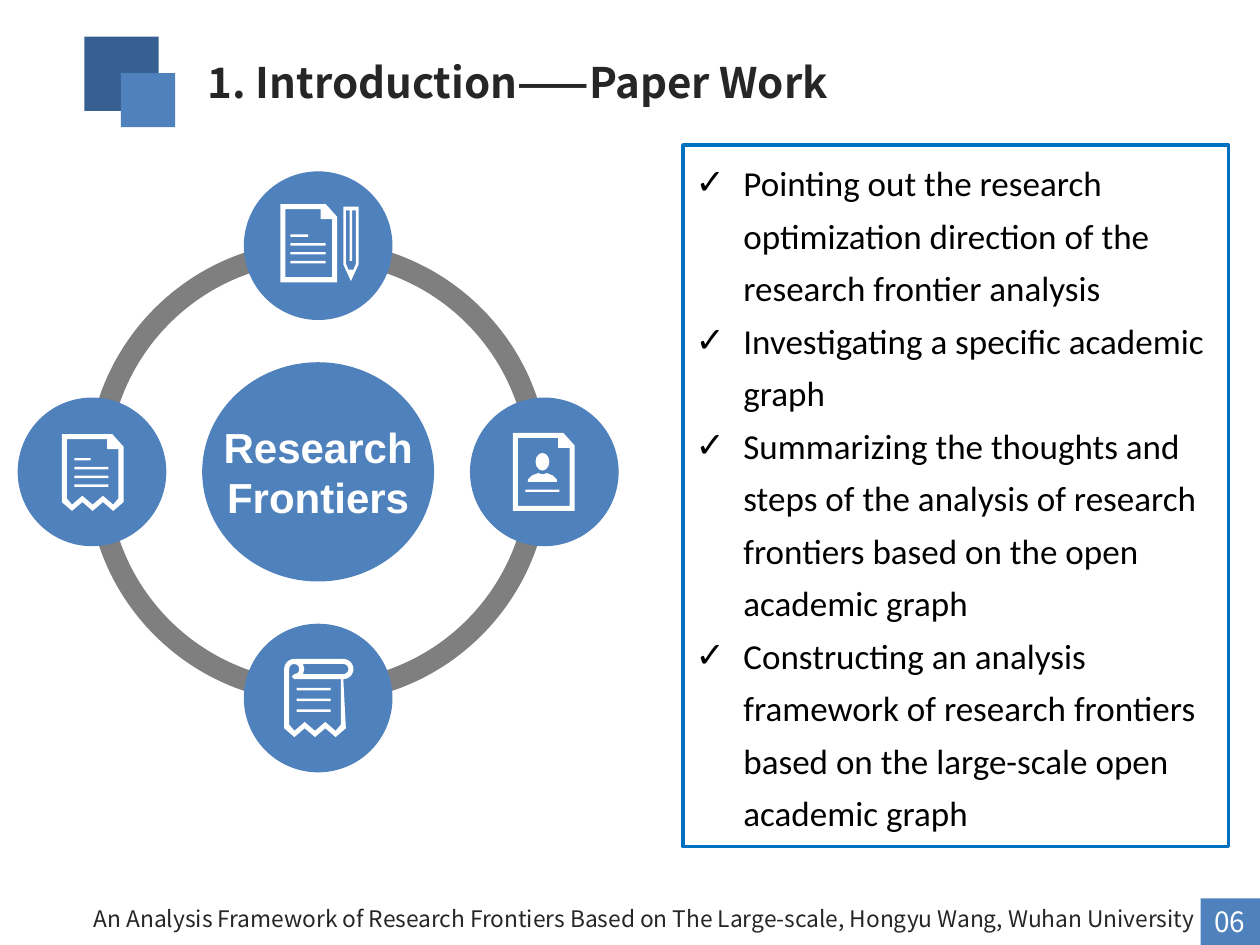
from dataclasses import dataclass
from math import cos, radians, sin

from lxml.etree import SubElement
from pptx import Presentation
from pptx.dml.color import RGBColor
from pptx.enum.shapes import MSO_SHAPE as Shape
from pptx.enum.text import MSO_ANCHOR as Anchor, MSO_AUTO_SIZE as AutoSize, PP_ALIGN as Align
from pptx.oxml.ns import qn
from pptx.util import Inches, Pt


@dataclass(frozen=True)
class Theme:
    blue: str = "4F81BD"
    navy: str = "376092"
    border: str = "0070C0"
    ring: str = "7F7F7F"
    ink: str = "262626"
    black: str = "000000"
    white: str = "FFFFFF"
    heading_font: str = "Noto Sans CJK SC"
    hub_font: str = "Arial"
    list_font: str = "Calibri"
    heading: int = 24
    list: int = 20
    page: int = 16
    footer: int = 13


THEME = Theme()
STROKE = 0.04

WORK_ITEMS = [
    "Pointing out the research optimization direction of the research frontier analysis",
    "Investigating a specific academic graph",
    "Summarizing the thoughts and steps of the analysis of research frontiers "
    "based on the open academic graph",
    "Constructing an analysis framework of research frontiers "
    "based on the large-scale open academic graph",
]


def paint(shape, color):
    shape.shadow.inherit = False
    shape.fill.solid()
    shape.fill.fore_color.rgb = RGBColor.from_string(color)
    shape.line.fill.background()
    return shape


def block(slide, preset, left, top, width, height, color):
    box = [Inches(length) for length in (left, top, width, height)]
    return paint(slide.shapes.add_shape(preset, *box), color)


def place(shape, left, top, width, height):
    shape.left, shape.top = Inches(left), Inches(top)
    shape.width, shape.height = Inches(width), Inches(height)


def style(paragraph, font, size, color, bold=False, align=Align.LEFT):
    paragraph.alignment = align
    paragraph.font.name = font
    paragraph.font.size = Pt(size)
    paragraph.font.bold = bold
    paragraph.font.color.rgb = RGBColor.from_string(color)


def label(slide, text, left, top, width, height, **look):
    box = [Inches(length) for length in (left, top, width, height)]
    frame = slide.shapes.add_textbox(*box).text_frame
    frame.word_wrap = True
    frame.text = text
    style(frame.paragraphs[0], THEME.heading_font, **look)


def outline(slide, center, *contours):
    cx, cy = center
    loops = [[(Inches(cx + x), Inches(cy + y)) for x, y in contour] for contour in contours]
    builder = slide.shapes.build_freeform(*loops[0][0])
    for loop in loops:
        if loop is not loops[0]:
            builder.move_to(*loop[0])
        builder.add_line_segments(loop[1:], close=True)
    paint(builder.convert_to_shape(), THEME.white)


def arc(x, y, radius, start, end):
    angles = [radians(angle) for angle in range(start, end + 1, 15)]
    return [(x + radius * cos(a), y + radius * sin(a)) for a in angles]


def torn_edge(left, right, bottom, inset=0.0):
    points = []
    for i in range(7):
        x = right - (right - left) * i / 6
        rise = 0 if i % 2 else 0.07
        if i in (0, 6):
            x += inset if i else -inset
            rise -= inset / 2
        points.append((x, bottom - 1.25 * inset - rise))
    return points


def flat_edge(left, right, bottom, inset=0.0):
    return [(right - inset, bottom - inset), (left + inset, bottom - inset)]


def page(slide, center, left, top, right, bottom, edge):
    sheet = [(left, top), (right - 0.09, top), (right, top + 0.1)]
    fold, inner_top = right - 0.13, top + STROKE
    window = [(left + STROKE, inner_top), (fold, inner_top), (fold, top + 0.12),
              (right - STROKE, top + 0.12)]
    outline(slide, center, sheet + edge(left, right, bottom),
            window + edge(left, right, bottom, STROKE))


def text_lines(slide, center, left, top, gap, widths):
    cx, cy = center
    for i, width in enumerate(widths):
        block(slide, Shape.RECTANGLE, cx + left, cy + top + i * gap, width, 0.02, THEME.white)


def draft_icon(slide, center):
    text_lines(slide, center, -0.22, -0.09, 0.07, [0.14, 0.28, 0.28, 0.28])
    page(slide, center, -0.3, -0.33, 0.15, 0.29, flat_edge)
    outline(slide, center, [
        (0.2, -0.31), (0.32, -0.31), (0.32, 0.15), (0.26, 0.28), (0.2, 0.15),
    ], [
        (0.3, 0.14), (0.28, 0.19), (0.24, 0.19), (0.22, 0.14), (0.22, -0.28),
        (0.25, -0.28), (0.25, 0.12), (0.27, 0.12), (0.27, -0.28), (0.3, -0.28),
    ])


def receipt_icon(slide, center):
    text_lines(slide, center, -0.14, -0.11, 0.07, [0.13, 0.27, 0.27, 0.27])
    page(slide, center, -0.24, -0.3, 0.25, 0.31, torn_edge)


def profile_icon(slide, center):
    cx, cy = center
    block(slide, Shape.OVAL, cx - 0.07, cy - 0.15, 0.11, 0.14, THEME.white)
    outline(slide, center, [
        (-0.13, 0.08), (-0.13, 0.06), (-0.1, 0.03), (-0.05, 0.01), (-0.01, 0.02),
        (0.02, 0.01), (0.07, 0.03), (0.1, 0.06), (0.1, 0.08),
    ])
    text_lines(slide, center, -0.15, 0.14, 0, [0.27])
    page(slide, center, -0.25, -0.31, 0.24, 0.31, flat_edge)


def scroll_icon(slide, center):
    left, right, bottom, roll = -0.27, 0.22, 0.31, -0.23
    text_lines(slide, center, -0.17, -0.08, 0.085, [0.27] * 3)
    outline(
        slide, center,
        arc(-0.19, roll, 0.08, 180, 270) + arc(0.2, roll, 0.08, 270, 450)
        + torn_edge(left, right, bottom),
        arc(0.2, roll, STROKE, 270, 450) + [(-0.12, -0.19), (-0.11, roll), (-0.12, -0.27)],
        arc(-0.19, roll, STROKE, 180, 450)
        + [(-0.21, -0.17), (-0.19, -0.15), (right - STROKE, -0.15)]
        + torn_edge(left, right, bottom, STROKE),
    )


def heading(slide, left, top, width, height):
    block(slide, Shape.RECTANGLE, left, top, 0.59, 0.59, THEME.navy)
    block(slide, Shape.RECTANGLE, left + 0.29, top + 0.29, 0.43, 0.43, THEME.blue)
    title = slide.shapes.title
    place(title, left + 0.88, top + 0.11, width - 0.88, height)
    frame = title.text_frame
    frame.auto_size = AutoSize.NONE
    frame.vertical_anchor = Anchor.MIDDLE
    frame.text = "1. Introduction——Paper Work"
    style(frame.paragraphs[0], THEME.heading_font, THEME.heading, THEME.ink, bold=True)


def frontier_cycle(slide, left, top, size):
    disc, ring = 1.18, 3.67
    cx, cy = left + size / 2, top + size / 2
    orbit = (size - disc) / 2
    hub = block(slide, Shape.OVAL, cx - 0.92, cy - 0.87, 1.84, 1.74, THEME.blue)
    frame = hub.text_frame
    frame.word_wrap = True
    frame.margin_left = frame.margin_right = Inches(-0.15)
    frame.vertical_anchor = Anchor.MIDDLE
    frame.text = "Research Frontiers"
    style(frame.paragraphs[0], THEME.hub_font, THEME.heading, THEME.white, True, Align.CENTER)

    quarter = 54
    for i in range(4):
        segment = block(slide, Shape.BLOCK_ARC, cx - ring / 2, cy - ring / 2, ring, ring, THEME.ring)
        segment.adjustments[0] = i * quarter
        segment.adjustments[1] = (i + 1) % 4 * quarter
        segment.adjustments[2] = 0.046

    stations = [(0, 1, scroll_icon), (-1, 0, receipt_icon), (0, -1, draft_icon), (1, 0, profile_icon)]
    for dx, dy, icon in stations:
        center = cx + dx * orbit, cy + dy * orbit
        block(slide, Shape.OVAL, center[0] - disc / 2, center[1] - disc / 2, disc, disc, THEME.blue)
        icon(slide, center)


def work_list(slide, left, top, width, height):
    body = slide.placeholders[1]
    place(body, left, top, width, height)
    body.line.color.rgb = RGBColor.from_string(THEME.border)
    body.line.width = Pt(2)
    frame = body.text_frame
    frame.auto_size = AutoSize.NONE
    frame.vertical_anchor = Anchor.TOP
    frame.text = "\n".join(WORK_ITEMS)
    for item in frame.paragraphs:
        item.line_spacing = 1.25
        item.space_before = Pt(0)
        properties = item._p.get_or_add_pPr()
        properties.set("marL", str(Inches(0.38)))
        properties.set("indent", str(Inches(-0.38)))
        SubElement(properties, qn("a:buChar"), char="✓")
        style(item, THEME.list_font, THEME.list, THEME.black)


def footer(slide, left, top, width, height):
    page_left = left + width - 0.47
    block(slide, Shape.RECTANGLE, page_left, top, 0.47, height, THEME.blue)
    label(slide, "06", page_left - 0.12, top, 0.7, height,
          size=THEME.page, color=THEME.white, align=Align.CENTER)
    label(slide, "An Analysis Framework of Research Frontiers Based on The Large-scale, "
          "Hongyu Wang, Wuhan University", left + 0.04, top, 9.53, height,
          size=THEME.footer, color=THEME.ink, align=Align.RIGHT)


def main():
    deck = Presentation()
    deck.slide_width, deck.slide_height = Inches(10), Inches(7.5)
    slide = deck.slides.add_slide(deck.slide_layouts[1])
    heading(slide, 0.67, 0.29, 8.66, 0.5)
    frontier_cycle(slide, 0.14, 1.36, 4.77)
    work_list(slide, 5.42, 1.15, 4.33, 5.57)
    footer(slide, 0, 7.13, 10, 0.37)
    deck.save("out.pptx")


if __name__ == "__main__":
    main()
